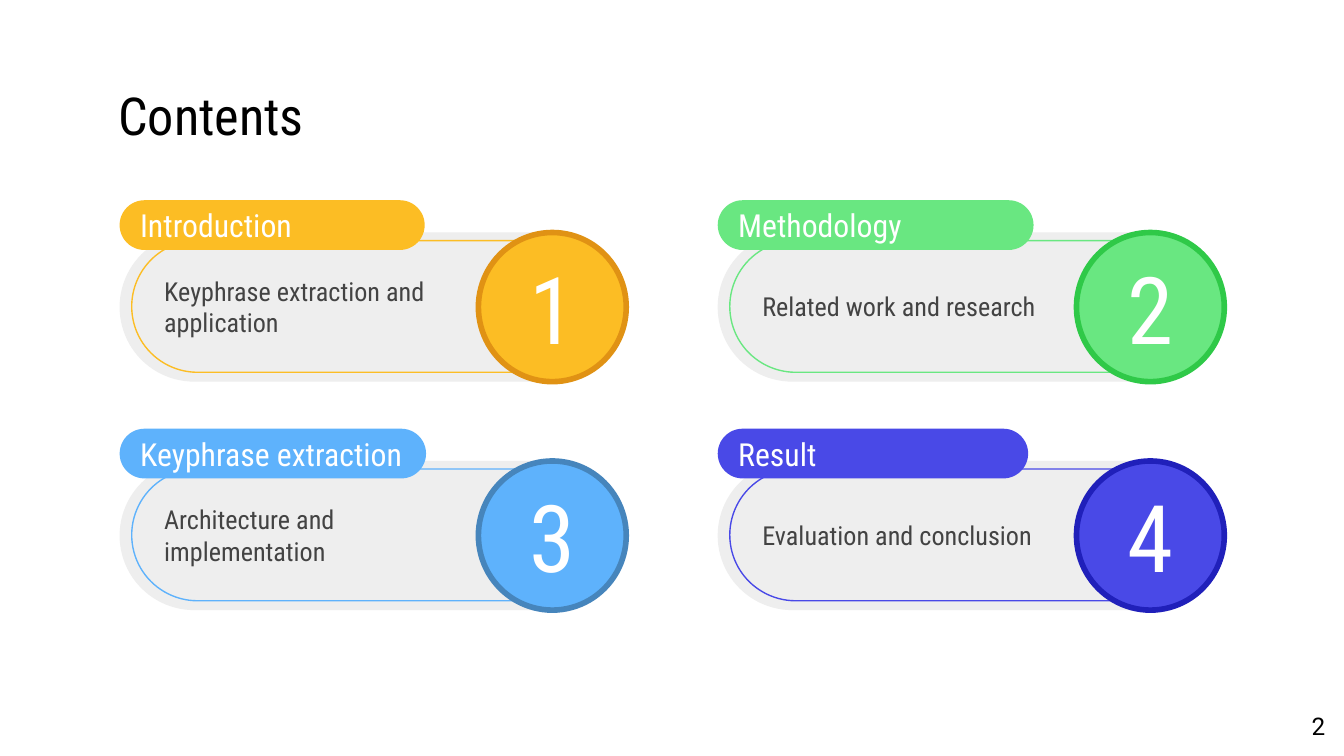
from dataclasses import dataclass
from typing import Optional

import pptx
import pptx.dml.color
import pptx.enum.shapes
import pptx.enum.text
import pptx.util

Align = pptx.enum.text.PP_ALIGN
Anchor = pptx.enum.text.MSO_ANCHOR
Preset = pptx.enum.shapes.MSO_SHAPE
Inches = pptx.util.Inches

SLIDE_WIDTH = 10
SLIDE_HEIGHT = SLIDE_WIDTH * 9 / 16
CONDENSED = "Roboto Condensed"
WHITE, BLACK, PANEL_GREY, BODY_GREY = "FFFFFF", "000000", "EEEEEE", "434343"
GRID_LEFT, GRID_TOP = 0.89, 1.49
COLUMN_STEP, ROW_STEP = 4.45, 1.7
PANEL_WIDTH, PANEL_HEIGHT, PANEL_DROP = 3.77, 1.11, 0.24
OUTLINE_INSET, OUTLINE_DROP, OUTLINE_HEIGHT = 0.09, 0.3, 0.98
CIRCLE_WIDTH, LABEL_HEIGHT = 1.1, 0.37


@dataclass
class Card:
    column: int
    row: int
    number: str
    heading: str
    body: str
    color: str
    rim: str
    label_width: float
    outline_width: float = 3.59


CARDS = [
    Card(0, 0, "1", "Introduction", "Keyphrase extraction and application",
         "FCBD24", "E09214", 2.27),
    Card(0, 1, "3", "Keyphrase extraction", "Architecture and implementation",
         "5EB2FC", "4685BC", 2.28, 3.68),
    Card(1, 0, "2", "Methodology", "Related work and research",
         "69E781", "2FC948", 2.35),
    Card(1, 1, "4", "Result", "Evaluation and conclusion",
         "4949E7", "2020BA", 2.31),
]


def rgb(color: str) -> pptx.dml.color.RGBColor:
    return pptx.dml.color.RGBColor.from_string(color)


def write(box, text: str, size: float, color: str, font: str = CONDENSED,
          align=Align.LEFT, anchor=Anchor.MIDDLE, right_inset: float = 0.1) -> None:
    frame = box.text_frame
    frame.text = text
    frame.word_wrap = True
    frame.auto_size = pptx.enum.text.MSO_AUTO_SIZE.NONE
    frame.vertical_anchor = anchor
    frame.margin_left = frame.margin_top = frame.margin_bottom = Inches(0.1)
    frame.margin_right = Inches(right_inset)
    para = frame.paragraphs[0]
    para.alignment = align
    span = para.runs[0]
    span.font.size = pptx.util.Pt(size)
    span.font.name = font
    span.font.color.rgb = rgb(color)


def add_box(shapes, preset, left: float, top: float, width: float, height: float,
            fill: Optional[str] = None, line: Optional[str] = None, weight: float = 0.75):
    box = shapes.add_shape(preset, Inches(left), Inches(top), Inches(width), Inches(height))
    box.shadow.inherit = False
    if preset == Preset.ROUNDED_RECTANGLE:
        box.adjustments[0] = 0.5
    if fill:
        box.fill.solid()
        box.fill.fore_color.rgb = rgb(fill)
    else:
        box.fill.background()
    if line:
        box.line.color.rgb = rgb(line)
        box.line.width = pptx.util.Pt(weight)
    else:
        box.line.fill.background()
    return box


def add_card(page, card: Card) -> None:
    left = GRID_LEFT + card.column * COLUMN_STEP
    top = GRID_TOP + card.row * ROW_STEP
    pill = Preset.ROUNDED_RECTANGLE
    shapes = page.shapes.add_group_shape().shapes

    add_box(shapes, pill, left, top + PANEL_DROP, PANEL_WIDTH, PANEL_HEIGHT, PANEL_GREY)
    outline = add_box(shapes, pill, left + OUTLINE_INSET, top + OUTLINE_DROP,
                      card.outline_width, OUTLINE_HEIGHT, line=card.color)
    write(outline, card.body, 14, BODY_GREY, right_inset=1)
    circle = add_box(shapes, Preset.OVAL, left + PANEL_WIDTH - CIRCLE_WIDTH, top + PANEL_DROP,
                     CIRCLE_WIDTH, PANEL_HEIGHT, card.color, card.rim, 3)
    write(circle, card.number, 50, WHITE, align=Align.CENTER)
    label = add_box(shapes, pill, left, top, card.label_width, LABEL_HEIGHT, card.color)
    write(label, card.heading, 17, WHITE)


def main() -> None:
    deck = pptx.Presentation()
    deck.slide_width, deck.slide_height = Inches(SLIDE_WIDTH), Inches(SLIDE_HEIGHT)
    page = deck.slides.add_slide(deck.slide_layouts[5])

    title = page.shapes.title
    title.left, title.top = Inches(0.78), Inches(0.59)
    title.width, title.height = Inches(8.45), Inches(0.53)
    write(title, "Contents", 28, BLACK)

    for card in CARDS:
        add_card(page, card)

    page_number = page.shapes.add_textbox(Inches(9.36), Inches(5.19), Inches(0.6), Inches(0.43))
    write(page_number, "2", 13, BLACK, "Roboto", Align.RIGHT, Anchor.TOP)
    deck.save("out.pptx")


if __name__ == "__main__":
    main()
